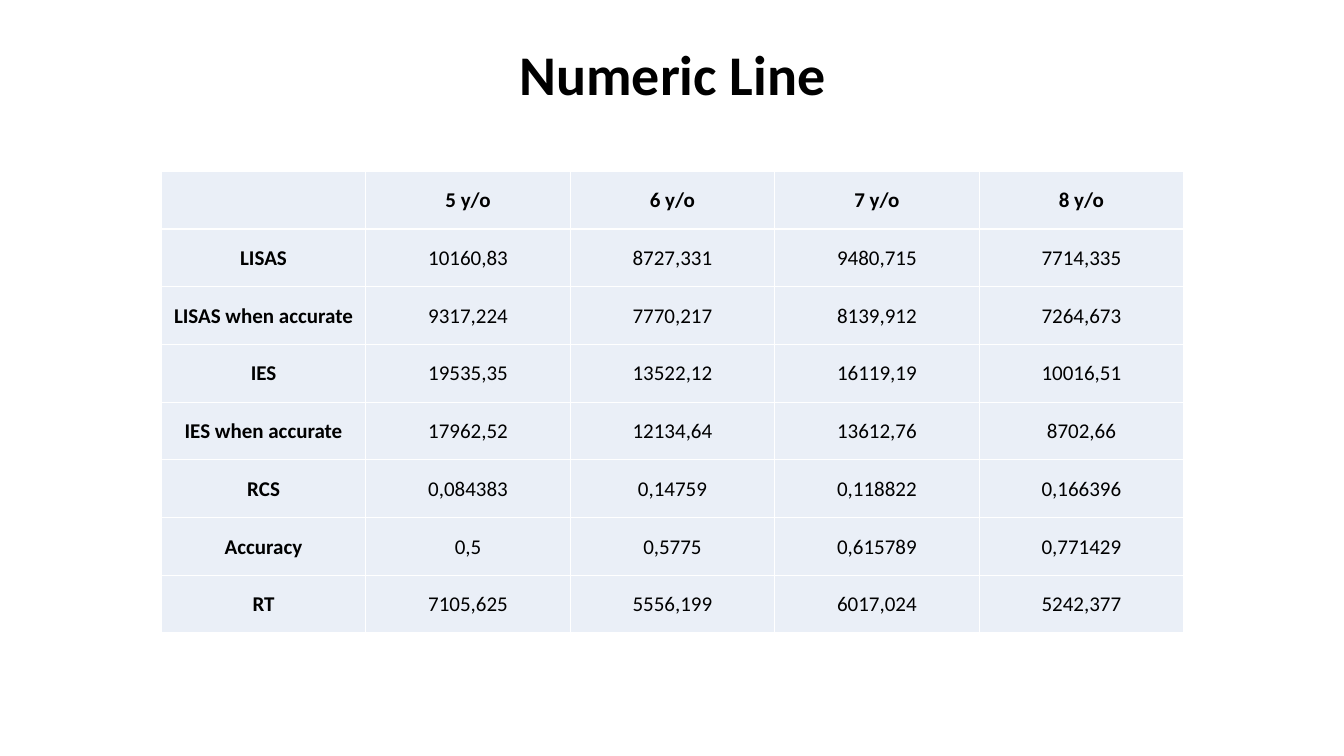
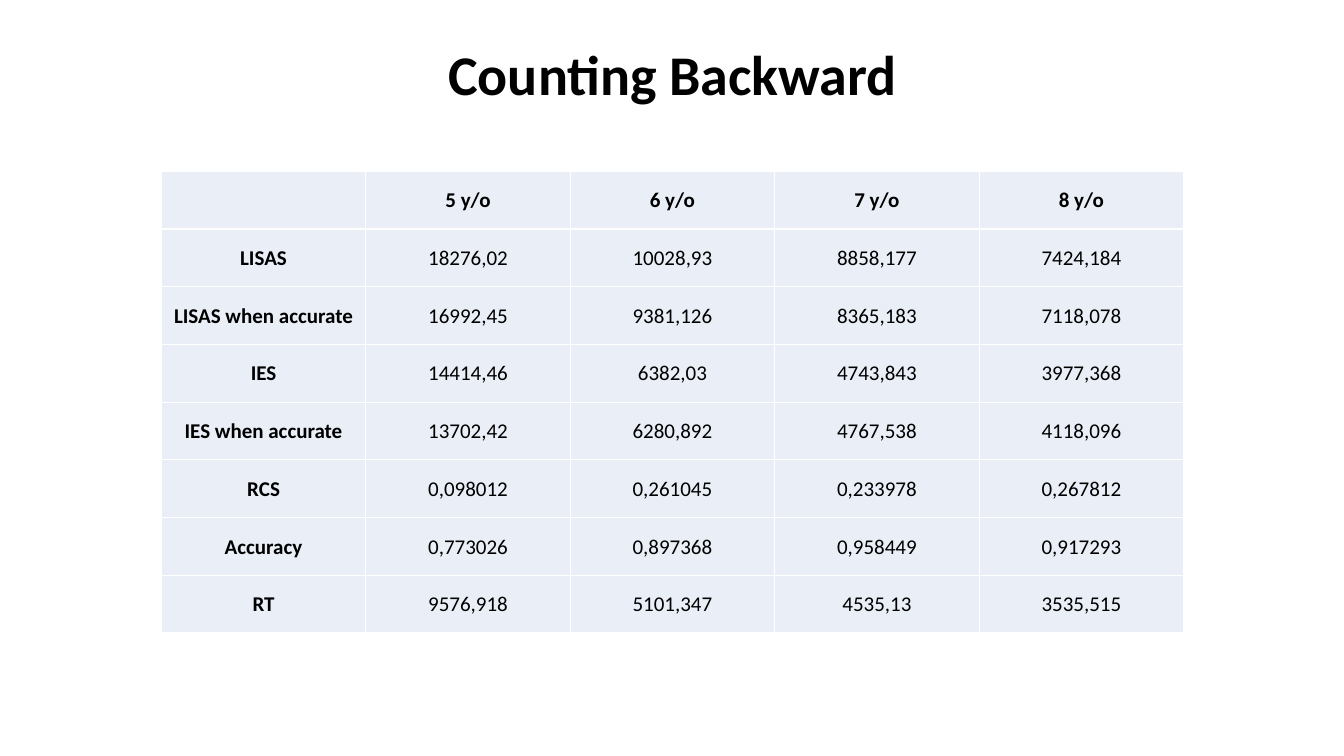
"""Build two slides that tabulate performance scores by age."""
import dataclasses

import lxml.etree
import pptx
import pptx.dml.color
import pptx.enum.text
import pptx.oxml.ns
import pptx.slide
import pptx.table
import pptx.text.text
import pptx.util

Inches = pptx.util.Inches
COLORS = {"text": "000000", "cell": "EAEFF7", "border": "FFFFFF"}
FONT = "Calibri"
TITLE_SIZE = 40
CELL_SIZE = 15
BORDER_WIDTH = 1
TABLE_WIDTH = 10.14
TABLE_HEIGHT = 4.58
AGES = ("5 y/o", "6 y/o", "7 y/o", "8 y/o")
MEASURES = ("LISAS", "LISAS when accurate", "IES", "IES when accurate", "RCS", "Accuracy", "RT")


@dataclasses.dataclass(frozen=True)
class ScoreSlide:
    title: str
    scores: tuple[tuple[str, ...], ...]


SCORE_SLIDES = (
    ScoreSlide("Numeric Line", (
        ("10160,83", "8727,331", "9480,715", "7714,335"),
        ("9317,224", "7770,217", "8139,912", "7264,673"),
        ("19535,35", "13522,12", "16119,19", "10016,51"),
        ("17962,52", "12134,64", "13612,76", "8702,66"),
        ("0,084383", "0,14759", "0,118822", "0,166396"),
        ("0,5", "0,5775", "0,615789", "0,771429"),
        ("7105,625", "5556,199", "6017,024", "5242,377"),
    )),
    ScoreSlide("Counting Backward", (
        ("18276,02", "10028,93", "8858,177", "7424,184"),
        ("16992,45", "9381,126", "8365,183", "7118,078"),
        ("14414,46", "6382,03", "4743,843", "3977,368"),
        ("13702,42", "6280,892", "4767,538", "4118,096"),
        ("0,098012", "0,261045", "0,233978", "0,267812"),
        ("0,773026", "0,897368", "0,958449", "0,917293"),
        ("9576,918", "5101,347", "4535,13", "3535,515"),
    )),
)


def write_text(paragraph: pptx.text.text._Paragraph, text: str, size: float, bold: bool) -> None:
    paragraph.alignment = pptx.enum.text.PP_ALIGN.CENTER
    run = paragraph.add_run()
    run.text = text
    run.font.name = FONT
    run.font.size = pptx.util.Pt(size)
    run.font.bold = bold
    run.font.color.rgb = pptx.dml.color.RGBColor.from_string(COLORS["text"])


def add_title(slide: pptx.slide.Slide, title: str) -> None:
    shape = slide.shapes.add_textbox(Inches(0.92), Inches(0.4), Inches(11.5), Inches(0.74))
    shape.text_frame.word_wrap = True
    shape.text_frame.vertical_anchor = pptx.enum.text.MSO_ANCHOR.MIDDLE
    paragraph = shape.text_frame.paragraphs[0]
    paragraph.line_spacing = 0.9
    write_text(paragraph, title, TITLE_SIZE, True)


def add_borders(cell: pptx.table._Cell) -> None:
    qualified_name = pptx.oxml.ns.qn
    properties = cell._tc.get_or_add_tcPr()
    for side in ("L", "R", "T", "B"):
        line = lxml.etree.SubElement(properties, qualified_name(f"a:ln{side}"))
        line.set("w", str(pptx.util.Pt(BORDER_WIDTH)))
        fill = lxml.etree.SubElement(line, qualified_name("a:solidFill"))
        lxml.etree.SubElement(fill, qualified_name("a:srgbClr")).set("val", COLORS["border"])


def format_cell(cell: pptx.table._Cell) -> None:
    add_borders(cell)
    cell.fill.solid()
    cell.fill.fore_color.rgb = pptx.dml.color.RGBColor.from_string(COLORS["cell"])
    cell.vertical_anchor = pptx.enum.text.MSO_ANCHOR.MIDDLE
    cell.margin_left = cell.margin_right = cell.margin_top = Inches(0.01)
    cell.margin_bottom = Inches(0)


def add_score_table(slide: pptx.slide.Slide, scores: tuple[tuple[str, ...], ...]) -> None:
    rows = [("", *AGES)] + [(measure, *values) for measure, values in zip(MEASURES, scores)]
    table = slide.shapes.add_table(
        len(rows), len(rows[0]), Inches(1.6), Inches(1.7), Inches(TABLE_WIDTH), Inches(TABLE_HEIGHT)
    ).table
    for row_index, row in enumerate(rows):
        for column_index, text in enumerate(row):
            cell = table.cell(row_index, column_index)
            format_cell(cell)
            if text:
                is_heading = row_index == 0 or column_index == 0
                write_text(cell.text_frame.paragraphs[0], text, CELL_SIZE, is_heading)


def main() -> None:
    presentation = pptx.Presentation()
    presentation.slide_width = Inches(13.33)
    presentation.slide_height = Inches(7.5)
    for score_slide in SCORE_SLIDES:
        slide = presentation.slides.add_slide(presentation.slide_layouts[6])
        add_title(slide, score_slide.title)
        add_score_table(slide, score_slide.scores)
    presentation.save("out.pptx")


main()
